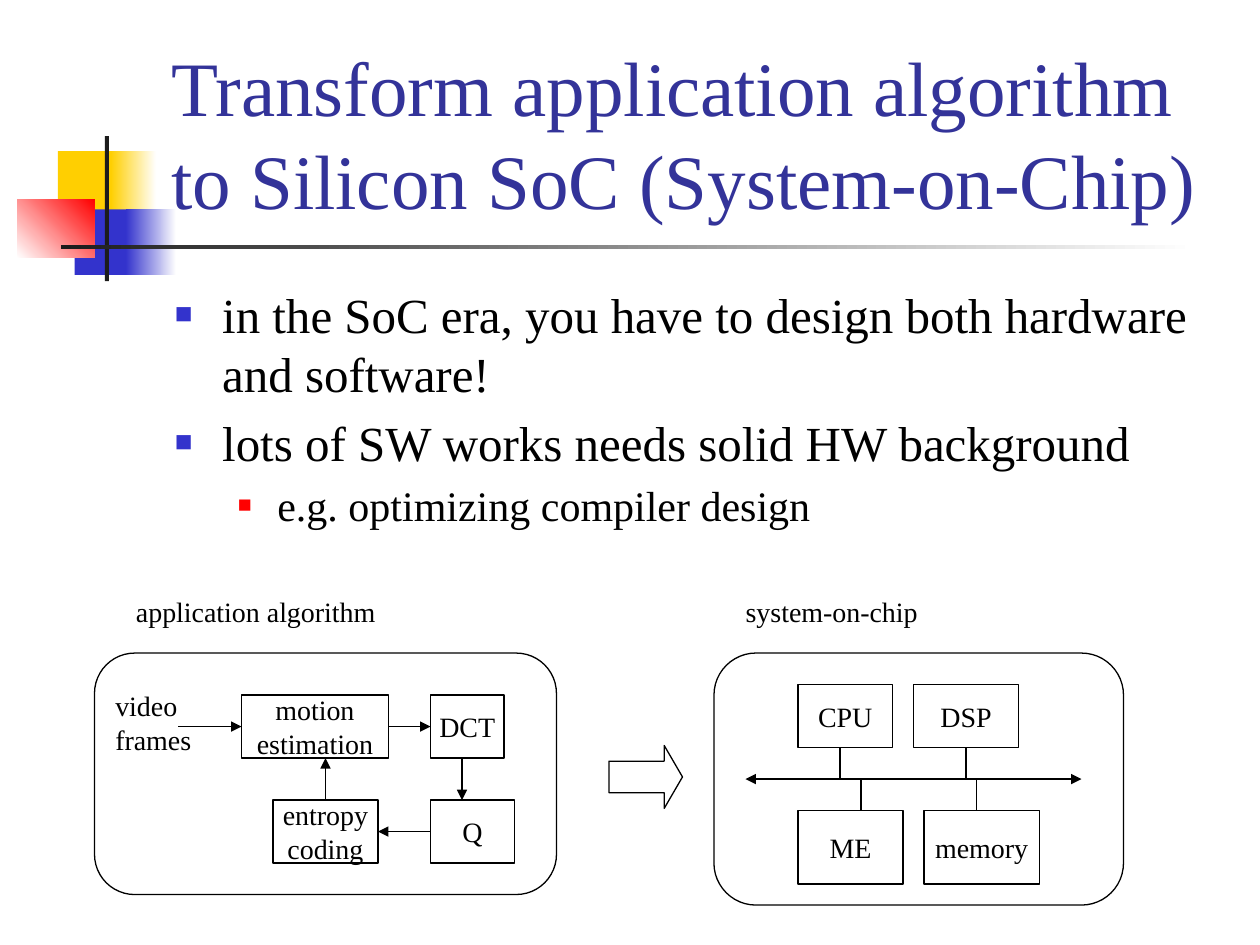
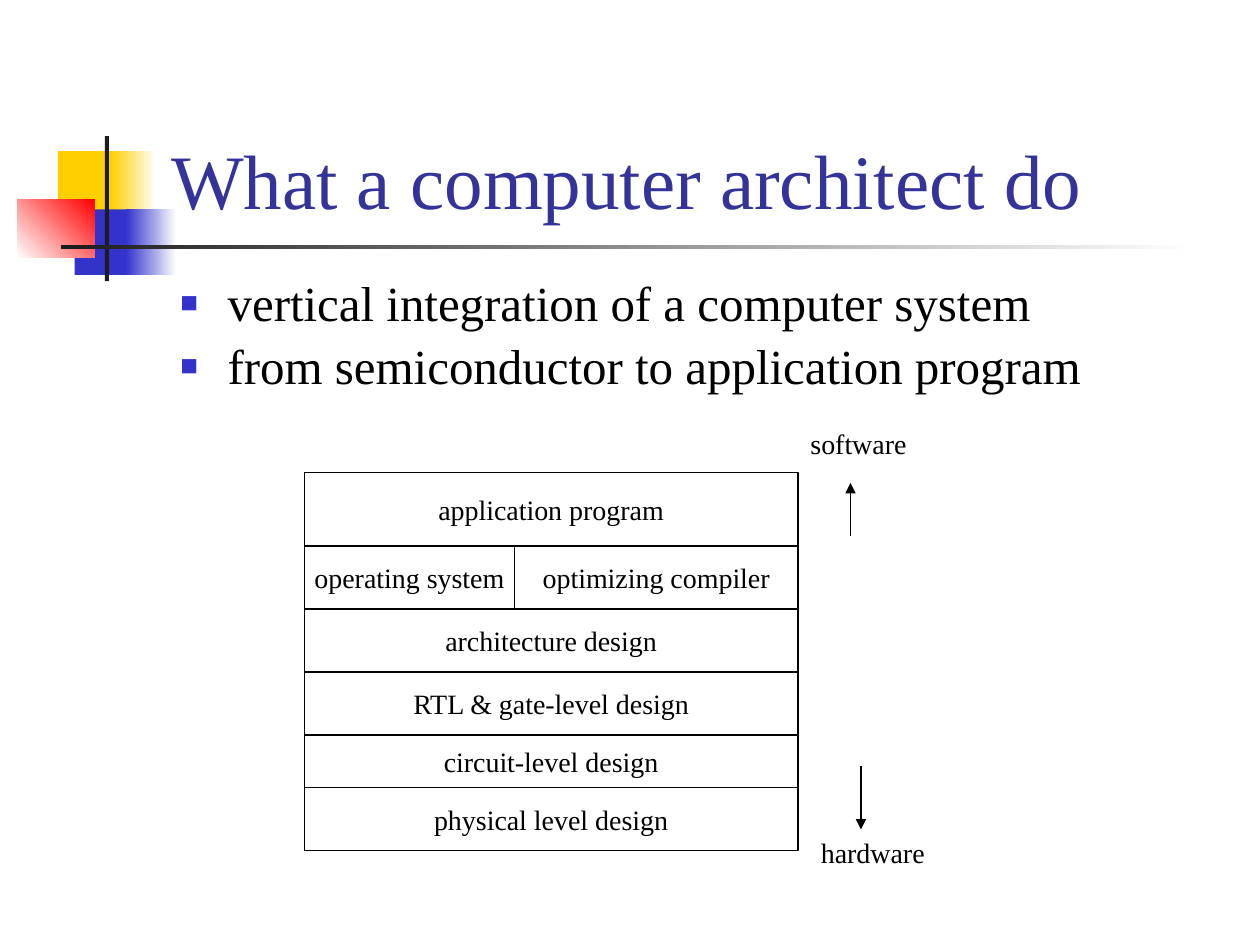
from dataclasses import dataclass

from lxml.etree import SubElement
from pptx import Presentation
from pptx.dml.color import RGBColor
from pptx.enum.shapes import MSO_CONNECTOR, MSO_SHAPE
from pptx.enum.text import MSO_ANCHOR, MSO_AUTO_SIZE, PP_ALIGN
from pptx.oxml.ns import qn
from pptx.util import Pt


@dataclass(frozen=True)
class Theme:
    font: str = "Times New Roman"
    title: str = "333399"
    text: str = "000000"
    yellow: str = "FFCF01"
    blue: str = "3333CC"
    red: str = "FF0000"
    dark: str = "1C1C1C"
    white: str = "FFFFFF"
    title_size: int = 44
    body_sizes: tuple = (28, 24)
    label_size: int = 16
    line_width: float = 0.75


THEME = Theme()
TOP, LEFT, BOTTOM, RIGHT = range(4)

# Bullet levels: left margin, hanging indent, colour, size in percent
BULLETS = ((27, 27, THEME.blue, 60), (58.5, 22.5, THEME.red, 55))

# Corner decoration: box, start colour, end colour (None for solid), angle
DECORATION = (
    ((33.1, 86.4, 34.6, 37.4), THEME.yellow, None, 0),
    ((63.4, 86.4, 25.9, 37.4), THEME.yellow, THEME.white, 0),
    ((42.7, 119.7, 33.1, 37.4), THEME.blue, None, 0),
    ((72, 119.7, 28.8, 37.4), THEME.blue, THEME.white, 0),
    ((9.8, 113.8, 44.2, 33.4), THEME.white, THEME.red, 45),
    ((59.9, 77.8, 2.4, 82.8), THEME.dark, None, 0),
    ((34.8, 140, 648, 2.6), THEME.dark, THEME.white, 0),
)


def color(value):
    return RGBColor.from_string(value)


def points(values):
    return [Pt(value) for value in values]


def style_font(paragraph, size, value=THEME.text):
    paragraph.font.name = THEME.font
    paragraph.font.size = Pt(size)
    paragraph.font.color.rgb = color(value)


def add_text(slide, box, text, size, value=THEME.text):
    shape = slide.shapes.add_textbox(*points(box))
    shape.text_frame.text = text
    for paragraph in shape.text_frame.paragraphs:
        style_font(paragraph, size, value)
    return shape.text_frame


def add_label(slide, box, text):
    frame = add_text(slide, box, text, THEME.label_size)
    frame.word_wrap = False
    frame.auto_size = MSO_AUTO_SIZE.SHAPE_TO_FIT_TEXT


def add_outline(slide, kind, box):
    shape = slide.shapes.add_shape(kind, *points(box))
    shape.shadow.inherit = False
    shape.fill.background()
    shape.line.color.rgb = color(THEME.text)
    shape.line.width = Pt(THEME.line_width)
    return shape


def add_block(slide, box, text):
    shape = add_outline(slide, MSO_SHAPE.RECTANGLE, box)
    frame = shape.text_frame
    frame.text = text
    frame.word_wrap = False
    frame.vertical_anchor = MSO_ANCHOR.MIDDLE
    for paragraph in frame.paragraphs:
        paragraph.alignment = PP_ALIGN.CENTER
        style_font(paragraph, THEME.label_size)
    return shape


def add_line(slide, start, end, heads=("tailEnd",), source=None, target=None):
    """Draw a line; source and target are optional (shape, side) joints."""
    connector = slide.shapes.add_connector(
        MSO_CONNECTOR.STRAIGHT, *points(start + end))
    if source:
        connector.begin_connect(*source)
    if target:
        connector.end_connect(*target)
    connector.line.color.rgb = color(THEME.text)
    connector.line.width = Pt(THEME.line_width)
    outline = connector.line._get_or_add_ln()
    for head in heads:
        SubElement(outline, qn(f"a:{head}"), type="triangle")
    SubElement(connector._element.spPr, qn("a:effectLst"))


def add_decoration(slide):
    for box, start, end, angle in DECORATION:
        shape = slide.shapes.add_shape(MSO_SHAPE.RECTANGLE, *points(box))
        shape.shadow.inherit = False
        shape.line.fill.background()
        if end is None:
            shape.fill.solid()
            shape.fill.fore_color.rgb = color(start)
            continue
        shape.fill.gradient()
        shape.fill.gradient_angle = angle
        for stop, value in zip(shape.fill.gradient_stops, (start, end)):
            stop.color.rgb = color(value)


def add_bullet(paragraph, level):
    margin, hanging, value, percent = BULLETS[level]
    properties = paragraph._p.get_or_add_pPr()
    properties.set("marL", str(Pt(margin)))
    properties.set("indent", str(-Pt(hanging)))
    bullet_color = SubElement(properties, qn("a:buClr"))
    SubElement(bullet_color, qn("a:srgbClr"), val=value)
    SubElement(properties, qn("a:buSzPct"), val=str(percent * 1000))
    SubElement(properties, qn("a:buFont"), typeface=THEME.font)
    SubElement(properties, qn("a:buChar"), char="■")


def add_body(slide, box, items, line_spacing=None):
    text = "\n".join(item for _, item in items)
    frame = add_text(slide, box, text, THEME.body_sizes[0])
    frame.word_wrap = True
    for index, (level, _) in enumerate(items):
        paragraph = frame.paragraphs[index]
        size = THEME.body_sizes[level]
        paragraph.level = level
        add_bullet(paragraph, level)
        paragraph.font.size = Pt(size)
        if line_spacing:
            paragraph.line_spacing = line_spacing
        if index:
            paragraph.space_before = Pt(size * 0.2)


def add_slide(presentation, title):
    slide = presentation.slides.add_slide(presentation.slide_layouts[6])
    add_decoration(slide)
    frame = add_text(slide, (90.7, 16.6, 613.4, 115.2), title,
                     THEME.title_size, THEME.title)
    frame.word_wrap = True
    frame.vertical_anchor = MSO_ANCHOR.BOTTOM
    return slide


def add_panel(slide, box, label_box, label):
    add_outline(slide, MSO_SHAPE.ROUNDED_RECTANGLE, box)
    add_label(slide, label_box, label)


def draw_algorithm(slide):
    add_panel(slide, (54, 373.2, 264, 138), (70.6, 336, 152.6, 26.6),
              "application algorithm")
    add_label(slide, (58.8, 390, 58.3, 46), "video\nframes")

    upper, lower, height = 397.2, 457.2, 36
    motion = add_block(slide, (138, upper, 84, height), "motion\nestimation")
    dct = add_block(slide, (246, upper, 42, height), "DCT")
    quantizer = add_block(slide, (246, lower, 48, height), "Q")
    entropy = add_block(slide, (156, lower, 60, height), "entropy\ncoding")

    # Data flow around the coding loop
    upper_middle, lower_middle = upper + height / 2, lower + height / 2
    add_line(slide, (102, upper_middle), (138, upper_middle),
             target=(motion, LEFT))
    add_line(slide, (222, upper_middle), (246, upper_middle),
             source=(motion, RIGHT), target=(dct, LEFT))
    add_line(slide, (264, upper + height), (264, lower))
    add_line(slide, (246, lower_middle), (216, lower_middle),
             source=(quantizer, LEFT), target=(entropy, RIGHT))
    add_line(slide, (186, lower), (186, upper + height),
             source=(entropy, TOP))


def draw_chip(slide):
    add_panel(slide, (408, 373.2, 234, 144), (419, 336, 113.8, 26.6),
              "system-on-chip")
    upper, lower, height, bus = 391.2, 463.2, 36, 445.2
    add_block(slide, (456, upper, 54, height), "CPU")
    dsp = add_block(slide, (522, upper, 60, height), "DSP")
    add_block(slide, (456, lower, 60, 42), "ME")
    add_block(slide, (528, lower, 66, 42), "memory")

    # Shared bus and its taps
    add_line(slide, (426, bus), (618, bus), heads=("headEnd", "tailEnd"))
    taps = ((480, upper + height, None), (552, upper + height, (dsp, BOTTOM)),
            (492, lower, None), (558, lower, None))
    for x, y, source in taps:
        add_line(slide, (x, y), (x, bus), heads=(), source=source)


def draw_layers(slide):
    left, top, width = 174, 270, 282
    layers = (
        (42, ("application program",)),
        (36, ("operating system", "optimizing compiler")),
        (36, ("architecture design",)),
        (36, ("RTL & gate-level design",)),
        (30, ("circuit-level design",)),
        (36, ("physical level design",)),
    )
    for height, names in layers:
        widths = (width,) if len(names) == 1 else (120, width - 120)
        x = left
        for name, block_width in zip(names, widths):
            add_block(slide, (x, top, block_width, height), name)
            x += block_width
        top += height


def main():
    presentation = Presentation()
    presentation.slide_width, presentation.slide_height = Pt(720), Pt(540)

    # Algorithm to chip
    slide = add_slide(
        presentation,
        "Transform application algorithm to Silicon SoC (System-on-Chip)")
    add_body(slide, (92.9, 159.1, 612, 165), (
        (0, "in the SoC era, you have to design both hardware and software!"),
        (0, "lots of SW works needs solid HW background"),
        (1, "e.g. optimizing compiler design")))
    draw_algorithm(slide)
    arrow = add_outline(slide, MSO_SHAPE.RIGHT_ARROW, (348, 426, 42, 36))
    arrow.adjustments[1] = 0.29
    draw_chip(slide)

    # Layers of a computer system
    slide = add_slide(presentation, "What a computer architect do")
    add_body(slide, (96, 156.2, 612, 75), (
        (0, "vertical integration of a computer system"),
        (0, "from semiconductor to application program")), line_spacing=0.9)
    draw_layers(slide)
    add_label(slide, (456, 240, 70, 26.6), "software")
    add_line(slide, (486, 306), (486, 276))
    add_line(slide, (492, 438), (492, 474))
    add_label(slide, (462, 474, 74, 26.6), "hardware")

    presentation.save("out.pptx")


if __name__ == "__main__":
    main()
